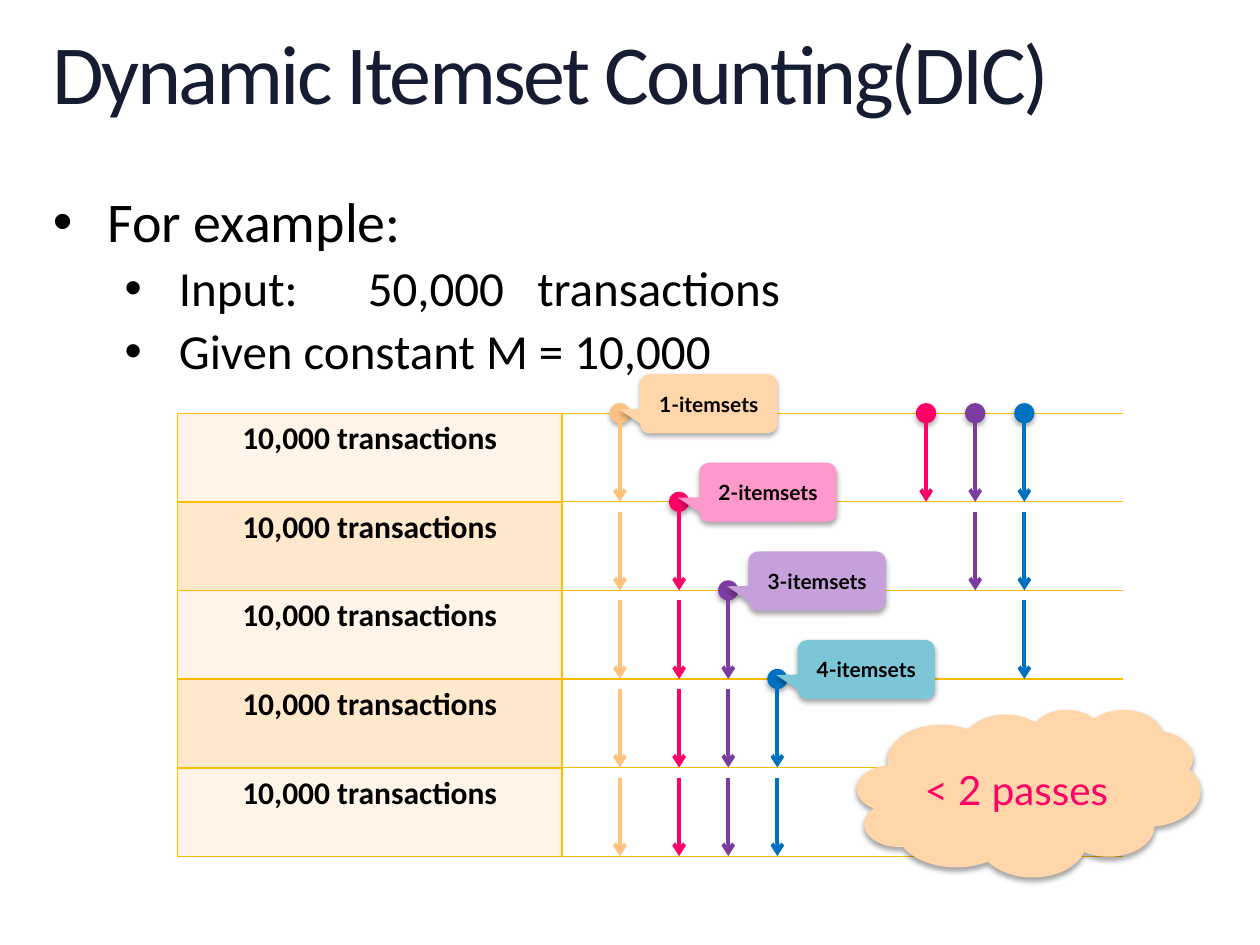
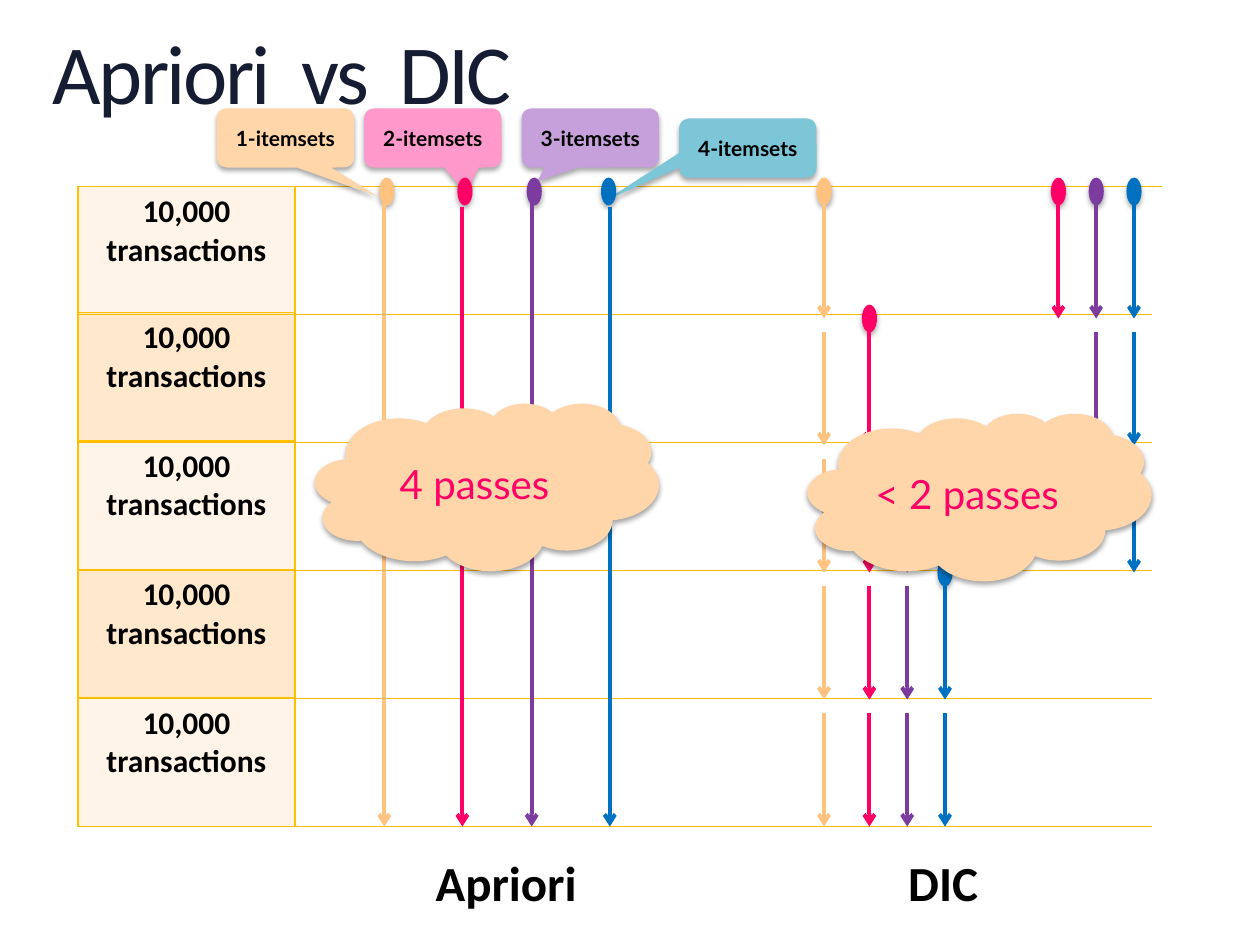
from lxml import etree
from pptx import Presentation
from pptx import util as u
from pptx.dml.color import RGBColor
from pptx.enum import shapes, text
from pptx.oxml import parse_xml
from pptx.oxml.ns import nsdecls, qn

COLORS = {
    "title": "161D32", "text": "000000", "accent": "FF0066",
    "grid": "F9BC00", "border": "FFC000", "cloud": "FFD6A9",
    "row_light": "FFF4E7", "row_dark": "FFE8CC",
}
# One entry per itemset size: 1 to 4
LANE_COLORS = ["FFC27F", "FF0066", "7C3C9F", "0070C0"]
CALLOUT_COLORS = ["FFD6A9", "FF99CC", "C6A0DB", "7CC6D8"]
BLOCKS = 5  # blocks of 10,000 transactions


def inches(*values):
    return [u.Inches(value) for value in values]


# --- Text ---
def put_text(paragraph, words, size, font="Calibri", color=COLORS["text"],
             bold=False, align=None, line_spacing=None, tracking=None):
    run = paragraph.add_run()
    run.text = words
    run.font.size = u.Pt(size)
    run.font.name = font
    run.font.bold = bold
    run.font.color.rgb = RGBColor.from_string(color)
    if align:
        paragraph.alignment = align
    if line_spacing:
        paragraph.line_spacing = line_spacing
    if tracking:
        run.font._element.set("spc", str(int(tracking * 100)))


def add_text_frame(slide, left, top, width, height, margin=0, wrap=True):
    frame = slide.shapes.add_textbox(*inches(left, top, width, height)).text_frame
    frame.word_wrap = wrap
    if margin is not None:
        frame.margin_left = frame.margin_right = u.Inches(margin)
        frame.margin_top = frame.margin_bottom = u.Inches(margin)
    return frame


def add_title(slide, words):
    frame = add_text_frame(slide, 0.42, 0.25, 9.17, 0.73)
    put_text(frame.paragraphs[0], words, 48, color=COLORS["title"],
             line_spacing=0.9, tracking=-1.5)


def add_bullets(slide, items):
    frame = add_text_frame(slide, 0.42, 1.54, 9.17, 1.52)
    for index, (level, words) in enumerate(items):
        paragraph = frame.add_paragraph() if index else frame.paragraphs[0]
        size = 28 if level else 32
        put_text(paragraph, words, size, line_spacing=0.9)
        paragraph.level = level
        paragraph.space_before = u.Pt(size * 0.2)
        props = paragraph._p.get_or_add_pPr()
        props.set("marL", str(u.Inches(1 if level else 0.43)))
        props.set("indent", str(u.Inches(-0.43)))
        font = etree.SubElement(props, qn("a:buFont"))
        font.set("typeface", "Arial")
        etree.SubElement(props, qn("a:buChar")).set("char", "•")


def add_caption(slide, left, width, words):
    frame = add_text_frame(slide, left, 6.72, width, 0.57, margin=None, wrap=False)
    put_text(frame.paragraphs[0], words, 28, bold=True)


# --- Shapes ---
def add_soft_shape(slide, kind, left, top, width, height, color):
    shape = slide.shapes.add_shape(kind, *inches(left, top, width, height))
    shape.shadow.inherit = False
    shape.fill.solid()
    shape.fill.fore_color.rgb = RGBColor.from_string(color)
    shape.line.fill.background()
    effects = shape._element.spPr.find(qn("a:effectLst"))
    effects.append(parse_xml(
        f'<a:outerShdw {nsdecls("a")} blurRad="{u.Pt(3.1)}" dist="{u.Pt(1.8)}" '
        'dir="5400000" rotWithShape="0"><a:srgbClr val="000000">'
        '<a:alpha val="35000"/></a:srgbClr></a:outerShdw>'))
    return shape


def add_label(shape, words, size, **style):
    frame = shape.text_frame
    frame.word_wrap = True
    frame.vertical_anchor = text.MSO_ANCHOR.MIDDLE
    put_text(frame.paragraphs[0], words, size, font="Lato",
             align=text.PP_ALIGN.CENTER, **style)


def add_dot(slide, x, y, size, color):
    width, height = size
    add_soft_shape(slide, shapes.MSO_SHAPE.OVAL, x - width / 2, y - height / 2,
                   width, height, color)


def add_cloud(slide, left, top, words):
    cloud = add_soft_shape(slide, shapes.MSO_SHAPE.CLOUD, left, top, 2.73, 1.33,
                           COLORS["cloud"])
    add_label(cloud, words, 23, color=COLORS["accent"])


def add_callouts(slide, placements):
    """Each placement is left, top and the pointer tip as shares of the size."""
    for number, (left, top, tip_x, tip_y) in enumerate(placements, 1):
        callout = add_soft_shape(
            slide, shapes.MSO_SHAPE.ROUNDED_RECTANGULAR_CALLOUT,
            left, top, 1.09, 0.47, CALLOUT_COLORS[number - 1])
        callout.adjustments[0] = tip_x
        callout.adjustments[1] = tip_y
        add_label(callout, f"{number}-itemsets", 12, bold=True)


def add_line(slide, x1, y1, x2, y2, color, width, arrow=False):
    line = slide.shapes.add_connector(shapes.MSO_CONNECTOR.STRAIGHT,
                                      *inches(x1, y1, x2, y2))
    line.line.color.rgb = RGBColor.from_string(color)
    line.line.width = u.Pt(width)
    if arrow:
        tail = etree.SubElement(line.line._get_or_add_ln(), qn("a:tailEnd"))
        tail.set("type", "arrow")
    etree.SubElement(line._element.spPr, qn("a:effectLst"))


def add_arrow(slide, x, top, bottom, color):
    add_line(slide, x, top, x, bottom, color, 2.25, arrow=True)


# --- Transaction blocks ---
def set_borders(cell):
    props = cell._tc.get_or_add_tcPr()
    for index, side in enumerate(("lnL", "lnR", "lnT", "lnB")):
        props.insert(index, parse_xml(
            f'<a:{side} {nsdecls("a")} w="{u.Pt(1)}"><a:solidFill>'
            f'<a:srgbClr val="{COLORS["border"]}"/></a:solidFill></a:{side}>'))


def add_blocks(slide, left, top, width, row_heights):
    table = slide.shapes.add_table(
        BLOCKS, 1, *inches(left, top, width, sum(row_heights))).table
    table.first_row = table.horz_banding = False
    table.columns[0].width = u.Inches(width)
    for index, height in enumerate(row_heights):
        table.rows[index].height = u.Inches(height)
        cell = table.cell(index, 0)
        cell.fill.solid()
        shade = "row_dark" if index % 2 else "row_light"
        cell.fill.fore_color.rgb = RGBColor.from_string(COLORS[shade])
        set_borders(cell)
        put_text(cell.text_frame.paragraphs[0], "10,000 transactions", 18,
                 bold=True, align=text.PP_ALIGN.CENTER)


def add_grid_line(slide, left, right, y):
    add_line(slide, left, y, right, y, COLORS["grid"], 0.75)


# --- Counting lanes ---
def add_dic_lanes(slide, first_pass, second_pass, top, pitch, dot):
    """Size k starts k blocks late, then wraps round to the blocks it missed."""
    runs = [(x, LANE_COLORS[k], k, BLOCKS) for k, x in enumerate(first_pass)]
    runs += [(x, LANE_COLORS[k], 0, k) for k, x in enumerate(second_pass, 1)]
    for x, color, start, end in runs:
        add_dot(slide, x, top + start * pitch, dot, color)
        for block in range(start, end):
            y = top + block * pitch
            add_arrow(slide, x, y + dot[1] / 2, y + pitch, color)


def add_apriori_lanes(slide, lanes, dot_y, bottom, dot):
    for (dot_x, arrow_x, start), color in zip(lanes, LANE_COLORS):
        add_dot(slide, dot_x, dot_y, dot, color)
        add_arrow(slide, arrow_x, start, bottom, color)


# --- Slides ---
def build_dic_slide(slide):
    top, pitch = 3.28, 0.703
    lanes = [4.92, 5.39, 5.78, 6.17]
    add_title(slide, "Dynamic Itemset Counting(DIC)")
    add_bullets(slide, [
        (0, "For example:"),
        (1, "Input:\t\t50,000   transactions"),
        (1, "Given constant M = 10,000"),
    ])
    add_blocks(slide, 1.41, top, 3.05, [0.704] * BLOCKS)
    for index in range(BLOCKS + 1):
        add_grid_line(slide, 1.41, 8.91, top + index * pitch)
    add_dic_lanes(slide, lanes, [7.35, 7.74, 8.13], top, pitch, (0.16, 0.16))
    add_cloud(slide, 6.8, 5.63, "< 2 passes")
    add_callouts(slide, [(x + 0.16, top - 0.31 + k * pitch, -0.656, 0.092)
                         for k, x in enumerate(lanes)])


def build_comparison_slide(slide):
    top, bottom, dot_y, dot = 1.48, 6.56, 1.52, (0.12, 0.22)
    add_title(slide, "Apriori  vs  DIC")
    add_blocks(slide, 0.62, top, 1.72, [1] + [1.02] * (BLOCKS - 1))
    add_grid_line(slide, 0.78, 9.22, top)
    for index in range(1, BLOCKS + 1):
        add_grid_line(slide, 0.62, 9.14, top + index * (bottom - top) / BLOCKS)
    add_dic_lanes(slide, [6.54, 6.9, 7.2, 7.5], [8.4, 8.7, 9], dot_y,
                  (bottom - dot_y) / BLOCKS, dot)
    add_callouts(slide, [
        (1.72, 0.86, 0.668, 0.983), (2.89, 0.86, 0.245, 0.951),
        (4.14, 0.86, -0.383, 0.728), (5.39, 0.94, -1.038, 0.888),
    ])
    add_apriori_lanes(slide, [
        (3.07, 3.05, 1.6), (3.69, 3.67, 1.64),
        (4.24, 4.22, 1.56), (4.83, 4.84, 1.64),
    ], dot_y, bottom, dot)
    add_caption(slide, 3.36, 1.33, "Apriori")
    add_caption(slide, 7.11, 0.76, "DIC")
    add_cloud(slide, 2.5, 3.2, "4 passes")
    add_cloud(slide, 6.41, 3.28, "< 2 passes")


def main():
    deck = Presentation()
    deck.slide_width, deck.slide_height = inches(10, 7.5)
    for build in (build_dic_slide, build_comparison_slide):
        build(deck.slides.add_slide(deck.slide_layouts[6]))
    deck.save("out.pptx")


if __name__ == "__main__":
    main()
